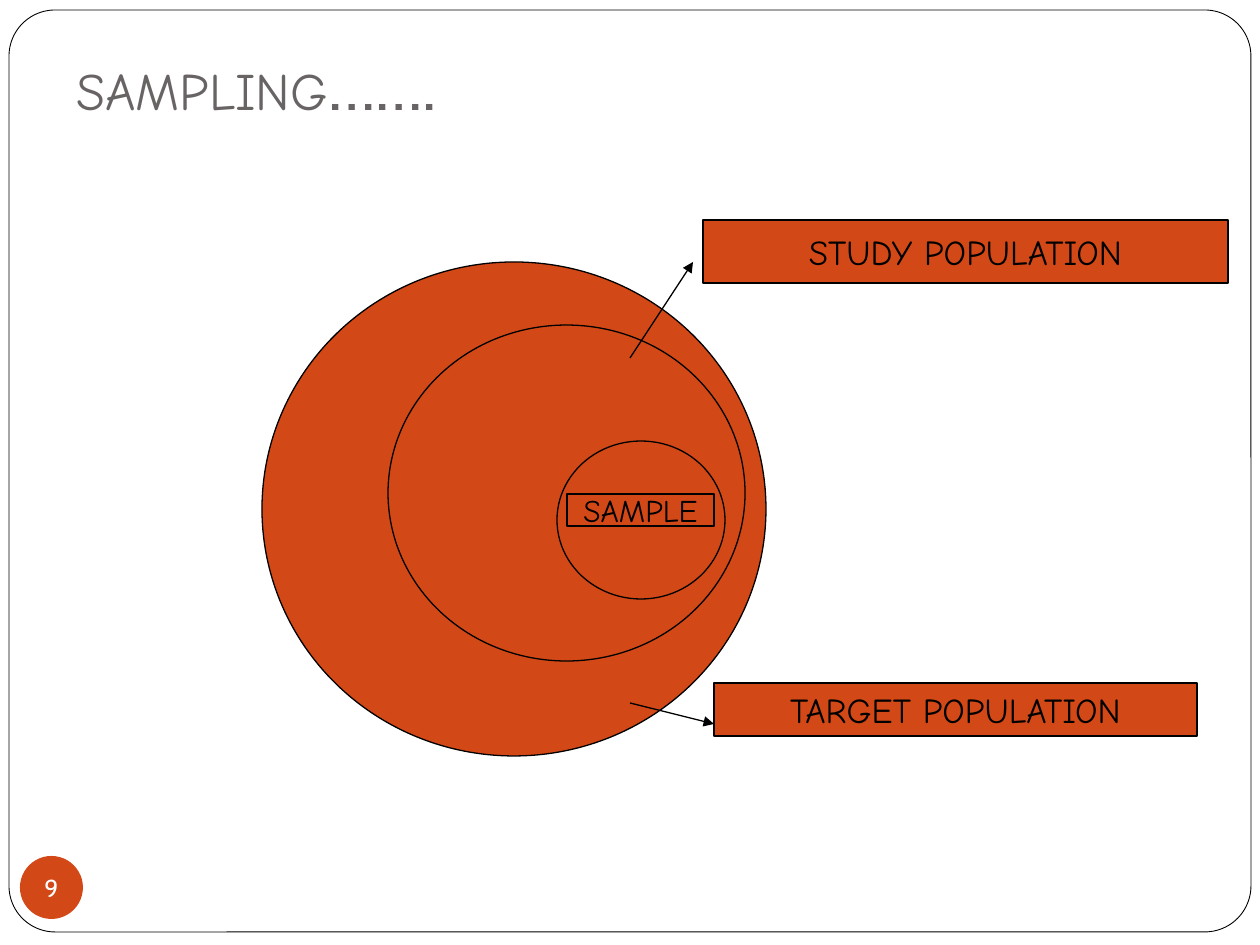
from lxml import etree
from pptx import Presentation
from pptx.dml.color import RGBColor
from pptx.enum.shapes import MSO_CONNECTOR, MSO_SHAPE
from pptx.enum.text import MSO_ANCHOR, PP_ALIGN
from pptx.oxml.ns import qn
from pptx.util import Emu, Pt

RECT, OVAL, ROUNDED = MSO_SHAPE.RECTANGLE, MSO_SHAPE.OVAL, MSO_SHAPE.ROUNDED_RECTANGLE
STRAIGHT = MSO_CONNECTOR.STRAIGHT
MIDDLE, BOTTOM, CENTER = MSO_ANCHOR.MIDDLE, MSO_ANCHOR.BOTTOM, PP_ALIGN.CENTER
ORANGE, BLACK, WHITE, GREY = "D34817", "000000", "FFFFFF", "696464"
HEADING_FONT, BODY_FONT = "Comic Neue", "Cabin"


def px(*lengths):
    """Turn pixels, 126 to the inch, into EMU."""
    return [Emu(round(length * 914400 / 126)) for length in lengths]


def add_figure(preset, box, fill=None, line_width=None, label=None, size=None,
               font=HEADING_FONT, color=BLACK):
    figure = slide.shapes.add_shape(preset, *px(*box))
    figure.shadow.inherit = False
    if fill:
        figure.fill.solid()
        figure.fill.fore_color.rgb = RGBColor.from_string(fill)
    else:
        figure.fill.background()
    if line_width:
        figure.line.width = Pt(line_width)
        figure.line.color.rgb = RGBColor.from_string(BLACK)
    else:
        figure.line.fill.background()
    if label:
        frame = figure.text_frame
        frame.word_wrap = False
        frame.vertical_anchor = MIDDLE
        paragraph = frame.paragraphs[0]
        paragraph.text = label
        paragraph.alignment = CENTER
        paragraph.font.name = font
        paragraph.font.size = Pt(size)
        paragraph.font.color.rgb = RGBColor.from_string(color)
    return figure


prs = Presentation()
prs.slide_width, prs.slide_height = px(1260, 945)
slide = prs.slides.add_slide(prs.slide_layouts[6])

# Page and frame
add_figure(RECT, (0, 0, 1260, 945), WHITE)
frame_outline = add_figure(ROUNDED, (9, 10, 1242, 922), line_width=0.5)
frame_outline.adjustments[0] = 0.05

# Title
title = slide.shapes.add_textbox(*px(64, 24, 1038, 113)).text_frame
title.word_wrap = True
title.vertical_anchor = BOTTOM
title.margin_bottom = title.margin_left
for text, font, size in (("SAMPLING", HEADING_FONT, 30), ("…….", BODY_FONT, 40)):
    run = title.paragraphs[0].add_run()
    run.text = text
    run.font.name = font
    run.font.size = Pt(size)
    run.font.color.rgb = RGBColor.from_string(GREY)

# Page number
page_number = add_figure(OVAL, (20, 856, 63, 63), ORANGE, None, "9", 14, BODY_FONT, WHITE)
number_frame = page_number.text_frame
number_frame.margin_left = number_frame.margin_right = 0
number_frame.margin_top = number_frame.margin_bottom = 0

# Target population, study population and sample, one inside the other
for circle in ((262, 262, 504, 494), (388, 325, 357, 336), (557, 441, 168, 158)):
    add_figure(OVAL, circle, ORANGE, 0.75)

for label, box, size in (
    ("TARGET POPULATION", (714, 683, 483, 53), 20),
    ("STUDY POPULATION", (703, 220, 525, 63), 20),
    ("SAMPLE", (567, 494, 147, 32), 18),
):
    add_figure(RECT, box, ORANGE, 0.75, label, size)

# Arrows from the circles to their labels
for ends in ((630, 358, 693, 262), (630, 703, 714, 724)):
    arrow = slide.shapes.add_connector(STRAIGHT, *px(*ends))
    arrow.line.width = Pt(0.75)
    arrow.line.color.rgb = RGBColor.from_string(BLACK)
    etree.SubElement(arrow.line._get_or_add_ln(), qn("a:tailEnd"), type="triangle")
    etree.SubElement(arrow._element.spPr, qn("a:effectLst"))

prs.save("out.pptx")
